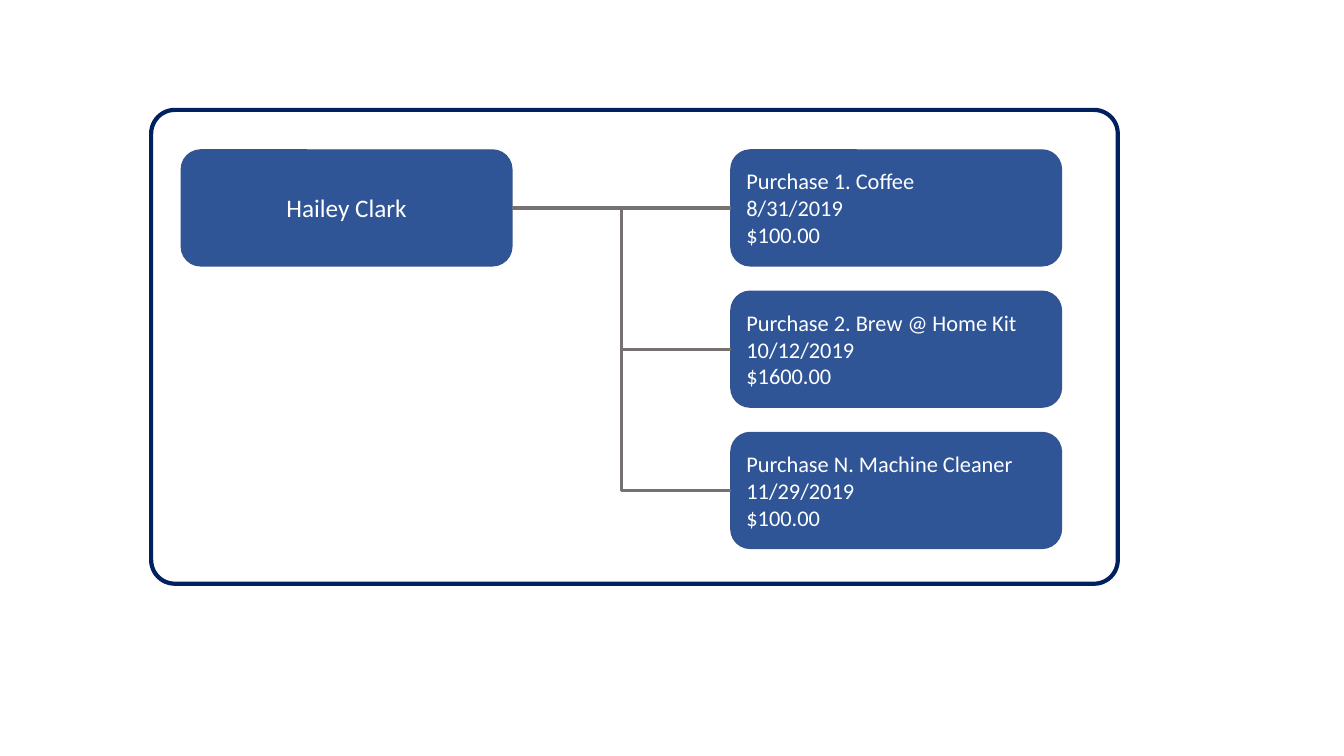
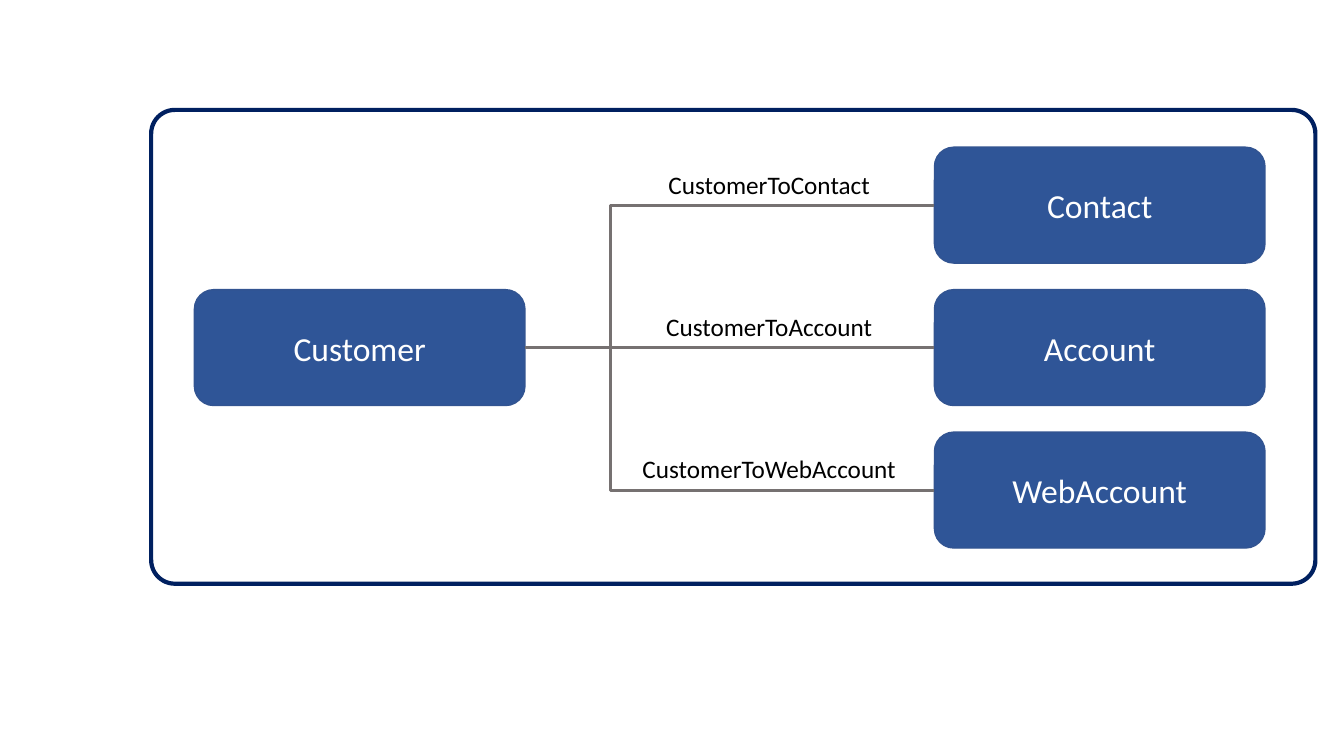
import lxml.etree
import pptx
import pptx.dml.color
import pptx.enum.shapes
import pptx.enum.text
import pptx.oxml.ns
import pptx.util

Cm = pptx.util.Cm
Pt = pptx.util.Pt
RGBColor = pptx.dml.color.RGBColor
MSO_SHAPE = pptx.enum.shapes.MSO_SHAPE
MSO_CONNECTOR = pptx.enum.shapes.MSO_CONNECTOR
PP_ALIGN = pptx.enum.text.PP_ALIGN
qn = pptx.oxml.ns.qn

BOX_FILL = RGBColor(0x2F, 0x55, 0x97)
BOX_LINE = RGBColor(0x32, 0x54, 0x91)
FRAME_LINE = RGBColor(0x00, 0x20, 0x60)
CONNECTOR_LINE = RGBColor(0x76, 0x71, 0x71)
WHITE = RGBColor(0xFF, 0xFF, 0xFF)
BLACK = RGBColor(0x00, 0x00, 0x00)
FONT = "Calibri"
BOX_WIDTH, BOX_HEIGHT = 8.33, 2.92

DIAGRAMS = [
    {
        "frame_width": 24.36,
        "root": ("Hailey Clark", 4.57, 0, 18),
        "branches": [
            "Purchase 1. Coffee\n8/31/2019\n$100.00",
            "Purchase 2. Brew @ Home Kit 10/12/2019\n$1600.00",
            "Purchase N. Machine Cleaner 11/29/2019\n$100.00",
        ],
        "labels": [],
        "left": 18.42,
        "top": 3.78,
        "pitch": 3.56,
        "size": 16,
        "alignment": PP_ALIGN.LEFT,
        "bend": 0.5,
    },
    {
        "frame_width": 29.34,
        "root": ("Customer", 4.9, 1, 24),
        "branches": ["Contact", "Account", "WebAccount"],
        "labels": ["CustomerToContact", "CustomerToAccount", "CustomerToWebAccount"],
        "left": 23.55,
        "top": 3.71,
        "pitch": 3.59,
        "size": 24,
        "alignment": PP_ALIGN.CENTER,
        "bend": 0.21,
    },
]


def write_text(shape, text, size, color, alignment):
    text_frame = shape.text_frame
    text_frame.word_wrap = True
    text_frame.text = text
    for paragraph in text_frame.paragraphs:
        paragraph.alignment = alignment
        for run in paragraph.runs:
            run.font.name = FONT
            run.font.size = Pt(size)
            run.font.color.rgb = color


def add_box(slide, left, top, text, size, alignment):
    box = slide.shapes.add_shape(
        MSO_SHAPE.ROUNDED_RECTANGLE, Cm(left), Cm(top), Cm(BOX_WIDTH), Cm(BOX_HEIGHT))
    box.shadow.inherit = False
    box.fill.solid()
    box.fill.fore_color.rgb = BOX_FILL
    box.line.color.rgb = BOX_LINE
    box.line.width = Pt(1)
    box.text_frame.vertical_anchor = pptx.enum.text.MSO_ANCHOR.MIDDLE
    write_text(box, text, size, WHITE, alignment)
    return box


presentation = pptx.Presentation()
presentation.slide_width = Cm(33.87)
presentation.slide_height = Cm(19.05)

for diagram in DIAGRAMS:
    slide = presentation.slides.add_slide(presentation.slide_layouts[6])

    frame = slide.shapes.add_shape(
        MSO_SHAPE.ROUNDED_RECTANGLE, Cm(3.81), Cm(2.77), Cm(diagram["frame_width"]), Cm(11.94))
    frame.shadow.inherit = False
    frame.adjustments[0] = 0.05
    frame.fill.background()
    frame.line.color.rgb = FRAME_LINE
    frame.line.width = Pt(3)

    tops = [diagram["top"] + row * diagram["pitch"] for row in range(3)]
    root_text, root_left, root_row, root_size = diagram["root"]
    root = add_box(slide, root_left, tops[root_row], root_text, root_size, PP_ALIGN.CENTER)

    for row, text in enumerate(diagram["branches"]):
        branch = add_box(
            slide, diagram["left"], tops[row], text, diagram["size"], diagram["alignment"])
        kind = MSO_CONNECTOR.STRAIGHT if row == root_row else MSO_CONNECTOR.ELBOW
        connector = slide.shapes.add_connector(kind, 0, 0, 0, 0)
        connector.begin_connect(root, 3)
        connector.end_connect(branch, 1)
        connector.line.color.rgb = CONNECTOR_LINE
        connector.line.width = Pt(2.25)
        properties = connector._element.spPr
        lxml.etree.SubElement(properties, qn("a:effectLst"))
        if kind == MSO_CONNECTOR.ELBOW:
            adjustments = properties.find(qn("a:prstGeom")).get_or_add_avLst()
            lxml.etree.SubElement(
                adjustments, qn("a:gd"), name="adj1", fmla=f"val {round(diagram['bend'] * 100000)}")

    for top, text in zip(tops, diagram["labels"]):
        label = slide.shapes.add_textbox(Cm(15.6), Cm(top + 0.42), Cm(7.57), Cm(1.03))
        label.text_frame.auto_size = pptx.enum.text.MSO_AUTO_SIZE.SHAPE_TO_FIT_TEXT
        write_text(label, text, 18, BLACK, PP_ALIGN.CENTER)

presentation.save("out.pptx")
